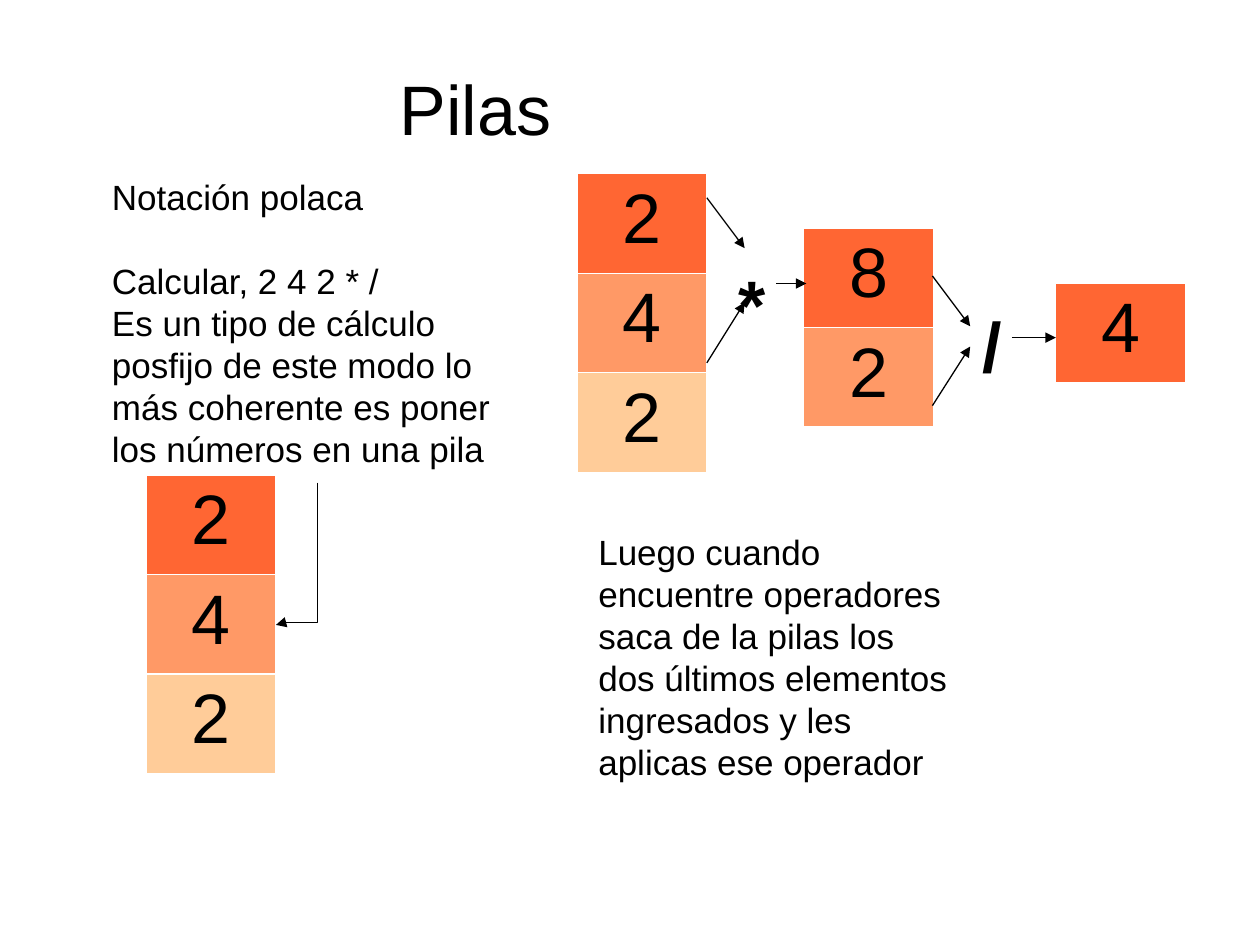
import pptx
import pptx.util
import pptx.dml.color
import pptx.enum.text
import pptx.enum.shapes
import pptx.oxml
import pptx.oxml.ns

Inches = pptx.util.Inches
Pt = pptx.util.Pt
RGB = pptx.dml.color.RGBColor
Text = pptx.enum.text
Link = pptx.enum.shapes.MSO_CONNECTOR

BLACK = RGB(0, 0, 0)
WHITE = RGB(255, 255, 255)
SHADES = [RGB(255, 102, 51), RGB(255, 153, 102), RGB(255, 204, 153)]
FONT = "Arial"
BIG, SMALL = 40, 20
PITCH = {BIG: 50, SMALL: 24}
CELL_W, CELL_H = 1.03, 0.79

TITLE = ("Pilas", (3.07, 0.44, 4.17, 1.14))
NOTES = [
    (["Notación polaca",
      "Calcular, 2 4 2 * /",
      "Es un tipo de cálculo posfijo de este modo lo más coherente es poner los números en una pila"],
     (0.79, 1.34, 3.39, 2.27), SMALL, False),
    (["Luego cuando encuentre operadores saca de la pilas los dos últimos elementos ingresados y les aplicas ese operador"],
     (4.65, 4.16, 2.99, 1.96), SMALL, False),
    (["*"], (5.76, 1.99, 0.47, 0.52), BIG, True),
    (["/"], (7.7, 2.32, 0.47, 0.72), BIG, True),
]
STACKS = [
    ("242", 1.16, 3.77),
    ("242", 4.58, 1.38),
    ("82", 6.38, 1.81),
    ("4", 8.38, 2.25),
]
ARROWS = [
    (5.61, 1.57, 5.91, 1.97),
    (5.61, 2.88, 5.91, 2.4),
    (6.16, 2.25, 6.4, 2.25),
    (7.4, 2.19, 7.7, 2.59),
    (7.4, 3.22, 7.7, 2.75),
    (8.03, 2.68, 8.38, 2.68),
]
ELBOW = (1.79, 4.23, 2.92, 4.56)
TURN, BEND = 90, 0.985


def add_xml(parent, tag, **attrs):
    node = pptx.oxml.ns.qn(tag)
    child = parent.makeelement(node, attrs)
    parent.append(child)
    return child


def write(para, text, size, bold=False):
    run = para.add_run()
    run.text = text
    font = run.font
    font.name, font.size, font.bold = FONT, Pt(size), bold
    font.color.rgb = BLACK


def fill_frame(frame, lines, size, bold=False):
    frame.word_wrap = True
    frame.auto_size = Text.MSO_AUTO_SIZE.NONE
    frame.vertical_anchor = Text.MSO_ANCHOR.TOP
    for row, line in enumerate(lines):
        para = frame.add_paragraph() if row else frame.paragraphs[0]
        para.alignment = Text.PP_ALIGN.LEFT
        para.line_spacing = Pt(PITCH[size])
        para.space_before = Pt(PITCH[size] if row == 1 else 0)
        write(para, line, size, bold)


def add_stack(slide, items, left, top):
    size = (CELL_W, CELL_H * len(items))
    frame = slide.shapes.add_table(len(items), 1, *map(Inches, (left, top, *size)))
    table = frame.table
    table.first_row = table.horz_banding = False
    for row, item in enumerate(items):
        cell = table.cell(row, 0)
        para = cell.text_frame.paragraphs[0]
        para.alignment = Text.PP_ALIGN.CENTER
        write(para, item, BIG)
        props = cell._tc.get_or_add_tcPr()
        for side in "LRTB":
            edge = add_xml(props, f"a:ln{side}", w=str(Pt(0.75)))
            paint = add_xml(edge, "a:solidFill")
            add_xml(paint, "a:srgbClr", val=str(WHITE))
        cell.fill.solid()
        cell.fill.fore_color.rgb = SHADES[row]


def add_arrow(slide, kind, ends):
    arrow = slide.shapes.add_connector(kind, *map(Inches, ends))
    arrow.line.color.rgb = BLACK
    arrow.line.width = Pt(0.75)
    add_xml(arrow.line._get_or_add_ln(), "a:tailEnd", type="triangle")
    add_xml(arrow._element.spPr, "a:effectLst")
    return arrow


def main():
    deck = pptx.Presentation()
    deck.slide_width, deck.slide_height = Inches(10), Inches(7.5)
    slide = deck.slides.add_slide(deck.slide_layouts[5])

    text, area = TITLE
    title = slide.shapes.title
    title.left, title.top, title.width, title.height = map(Inches, area)
    fill_frame(title.text_frame, [text], BIG)

    for lines, area, size, bold in NOTES:
        box = slide.shapes.add_textbox(*map(Inches, area))
        fill_frame(box.text_frame, lines, size, bold)
    for stack in STACKS:
        add_stack(slide, *stack)
    for ends in ARROWS:
        add_arrow(slide, Link.STRAIGHT, ends)

    elbow = add_arrow(slide, Link.ELBOW, ELBOW)
    props = elbow._element.spPr
    props.xfrm.set("rot", str(TURN * 60000))
    guides = props.prstGeom.get_or_add_avLst()
    add_xml(guides, "a:gd", name="adj1", fmla=f"val {round(BEND * 100000)}")
    deck.save("out.pptx")


if __name__ == "__main__":
    main()
